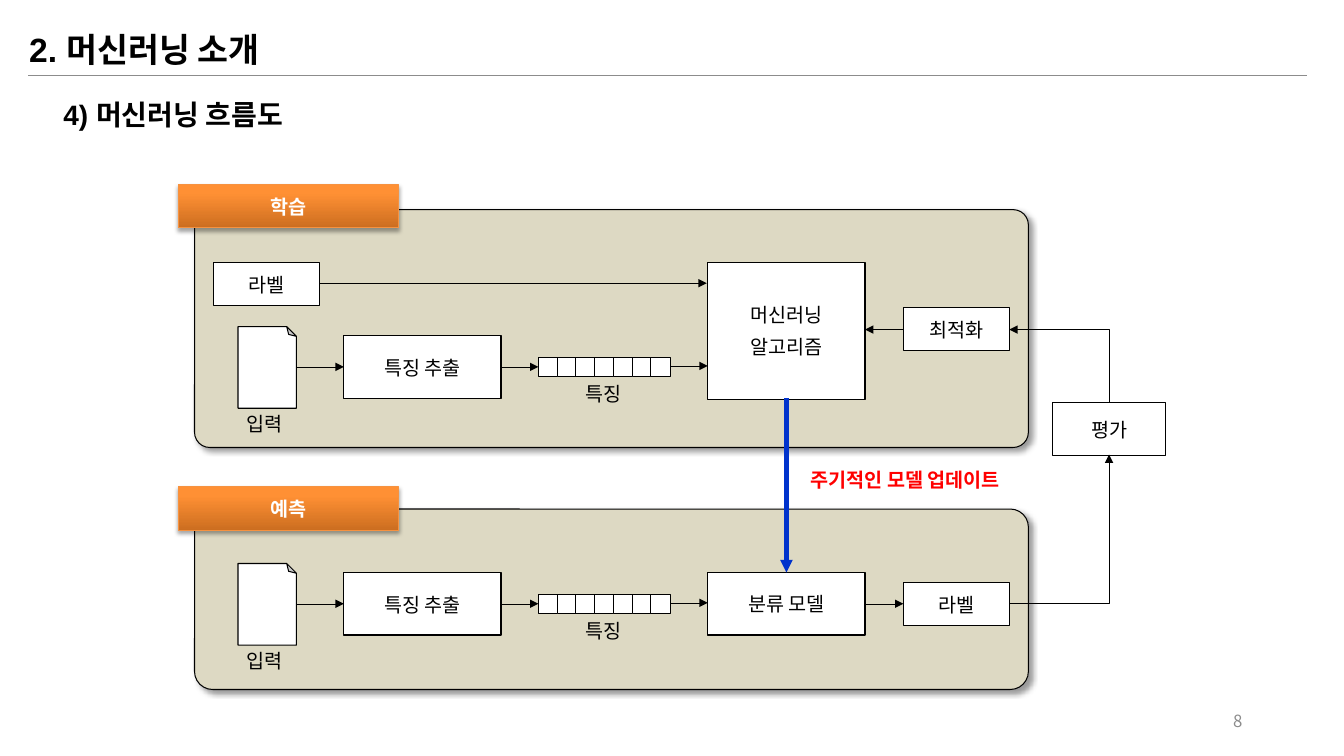
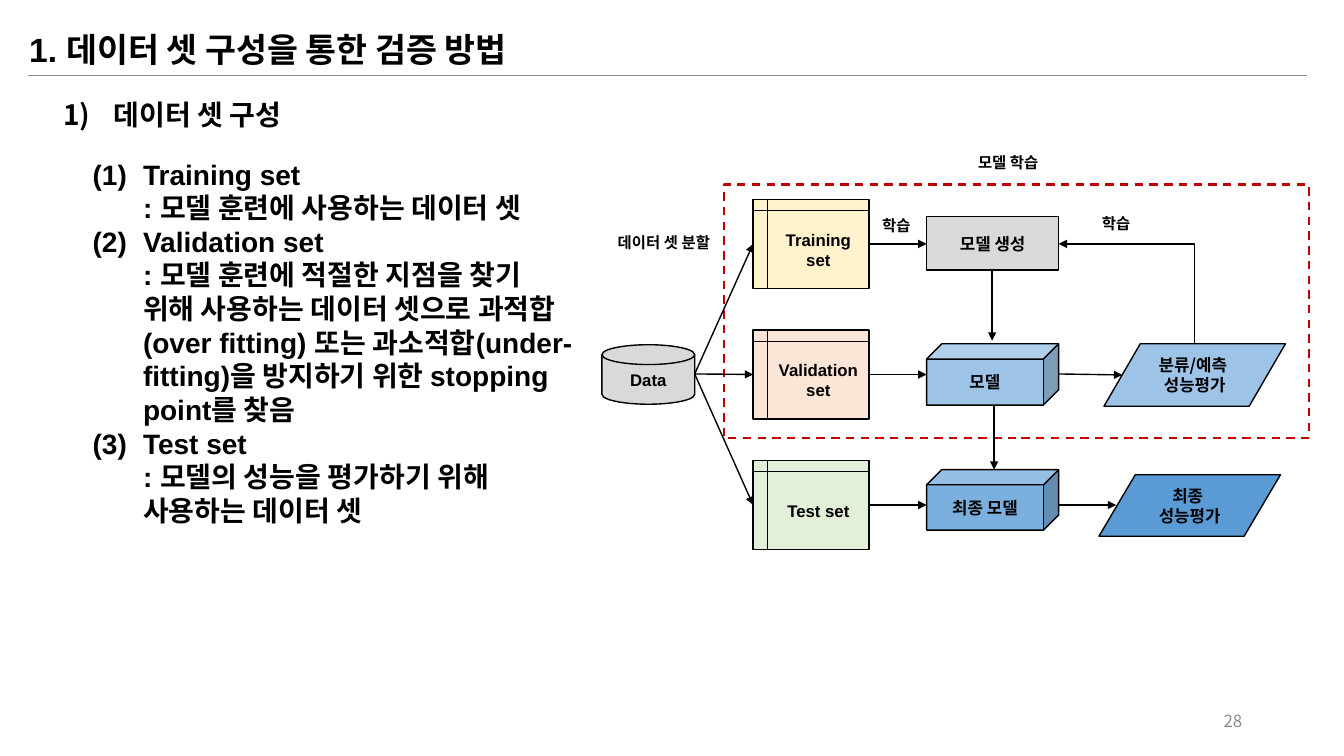
from copy import deepcopy
from dataclasses import dataclass, replace

from lxml.etree import SubElement
from pptx import Presentation
from pptx.dml.color import RGBColor
from pptx.enum.dml import MSO_LINE
from pptx.enum.shapes import MSO_CONNECTOR, MSO_SHAPE
from pptx.enum.text import MSO_ANCHOR, MSO_AUTO_SIZE, PP_ALIGN
from pptx.oxml.ns import qn
from pptx.util import Inches, Pt

LATIN, KOREAN = "Arial", "Noto Sans CJK KR"
BLACK, WHITE, GRAY, RULE = "000000", "FFFFFF", "8C8C8C", "8C8C8C"
SAND, ORANGE_EDGE, UPDATE_BLUE, ALERT = "DDD9C3", "F69240", "0033CC", "FF0000"
ORANGE_STOPS = [(0, "CC6E20"), (0.8, "FF9034"), (1, "FF9136")]
SILVER, SKY, AZURE, BLUE, CRIMSON = "D9D9D9", "9DC3E6", "7BAFDD", "5B9BD5", "C00000"
PANEL_SHADOW = (40, 4, 3, 45)
TAB_SHADOW = (35, 3.1, 1.8, 90)


@dataclass(frozen=True)
class TextStyle:
    """Describe how the text of one element looks."""
    size: float
    bold: bool = False
    colour: str = BLACK
    font: str = LATIN
    align: PP_ALIGN = PP_ALIGN.CENTER
    line: float = 1
    gap: float = 0


TITLE = TextStyle(24, True, align=PP_ALIGN.LEFT)
BODY = replace(TITLE, size=20)
PAGE = TextStyle(12, colour=GRAY, font=KOREAN, align=PP_ALIGN.RIGHT)
FLOW = TextStyle(14, line=1.05, gap=2.8)
FLOW_PLAIN = replace(FLOW, line=1)
INPUT = replace(FLOW, align=PP_ALIGN.LEFT)
TAB = replace(FLOW, bold=True, colour=WHITE)
UPDATE = replace(FLOW, bold=True, colour=ALERT)
NODE = TextStyle(12, True)
MODEL = replace(NODE, font=KOREAN)
NOTE = TextStyle(11, True)


def rgb(value):
    """Turn a hex string into a colour."""
    return RGBColor.from_string(value)


def inches(*lengths):
    """Convert several lengths to Inches."""
    return [Inches(length) for length in lengths]


def write(frame, text, style):
    """Fill a text frame and format each paragraph and run."""
    frame.text = text
    frame.word_wrap = True
    for paragraph in frame.paragraphs:
        paragraph.alignment = style.align
        paragraph.line_spacing = style.line
        paragraph.space_before = paragraph.space_after = Pt(style.gap)
        for run in paragraph.runs:
            run.font.size = Pt(style.size)
            run.font.bold = style.bold
            run.font.color.rgb = rgb(style.colour)
            run.font.name = style.font
            SubElement(run.font._element, qn("a:ea"), typeface=KOREAN)


def add_text(slide, box, text, style, grow=True):
    """Add a text box."""
    frame = slide.shapes.add_textbox(*inches(*box)).text_frame
    write(frame, text, style)
    if grow:
        frame.auto_size = MSO_AUTO_SIZE.SHAPE_TO_FIT_TEXT
    else:
        frame.vertical_anchor = MSO_ANCHOR.MIDDLE
    return frame


def number(paragraph, scheme, font):
    """Give a paragraph a hanging automatic number."""
    indent(paragraph, -0.5)
    properties = paragraph._p.get_or_add_pPr()
    SubElement(properties, qn("a:buFont"), typeface=font)
    SubElement(properties, qn("a:buAutoNum"), type=scheme)


def indent(paragraph, first):
    """Set the half-inch margin and the first-line indent."""
    properties = paragraph._p.get_or_add_pPr()
    properties.set("marL", str(Inches(0.5)))
    properties.set("indent", str(Inches(first)))


def add_node(slide, kind, box, fill=WHITE, text="", style=FLOW, edge=BLACK, width=0.75):
    """Add a preset shape, with centred text if there is any."""
    node = slide.shapes.add_shape(kind, *inches(*box))
    node.shadow.inherit = False
    if fill:
        node.fill.solid()
        node.fill.fore_color.rgb = rgb(fill)
    else:
        node.fill.background()
    if edge:
        node.line.color.rgb = rgb(edge)
        node.line.width = Pt(width)
    else:
        node.line.fill.background()
    if text:
        frame = node.text_frame
        write(frame, text, style)
        frame.vertical_anchor = MSO_ANCHOR.MIDDLE
        frame.margin_left = frame.margin_right = Inches(0.05)
        frame.margin_top = frame.margin_bottom = 0
    return node


def cast_shadow(node, opacity, blur, distance, angle):
    """Give a shape an outer black shadow."""
    effects = node._element.spPr.find(qn("a:effectLst"))
    shadow = SubElement(effects, qn("a:outerShdw"), blurRad=str(Pt(blur)),
                        dist=str(Pt(distance)), dir=str(angle * 60000),
                        algn="tl", rotWithShape="0")
    tone = SubElement(shadow, qn("a:srgbClr"), val=BLACK)
    SubElement(tone, qn("a:alpha"), val=str(opacity * 1000))


def shade_orange(node):
    """Fill a shape with the orange gradient, dark at the bottom."""
    node.fill.gradient()
    node.fill.gradient_angle = 90
    stops = node._element.spPr.find(".//" + qn("a:gsLst"))
    stops.append(deepcopy(stops[-1]))
    for stop, (position, colour) in zip(node.fill.gradient_stops, ORANGE_STOPS):
        stop.position = position
        stop.color.rgb = rgb(colour)


def add_line(slide, start, end, colour=BLACK, width=1.0, arrow=True,
             kind=MSO_CONNECTOR.STRAIGHT):
    """Add a connector, usually with an arrowhead at its end."""
    line = slide.shapes.add_connector(kind, *inches(*start, *end))
    line.line.color.rgb = rgb(colour)
    line.line.width = Pt(width)
    if arrow:
        SubElement(line.line._get_or_add_ln(), qn("a:tailEnd"), type="triangle")
    SubElement(line._element.spPr, qn("a:effectLst"))
    return line


def add_elbow(slide, start, end, width, upright=False):
    """Add an arrow with one corner; upright ones leave vertically."""
    if upright:
        centre_x, centre_y = (start[0] + end[0]) / 2, (start[1] + end[1]) / 2
        half_run, half_rise = (start[0] - end[0]) / 2, (start[1] - end[1]) / 2
        start = centre_x - half_rise, centre_y + half_run
        end = centre_x + half_rise, centre_y - half_run
    elbow = add_line(slide, start, end, width=width, kind=MSO_CONNECTOR.ELBOW)
    properties = elbow._element.spPr
    properties.find(qn("a:prstGeom")).set("prst", "bentConnector2")
    if upright:
        properties.find(qn("a:xfrm")).set("rot", str(270 * 60000))


def add_frame(deck, title, subtitle, page):
    """Add a slide with its title, rule, subtitle and page number."""
    slide = deck.slides.add_slide(deck.slide_layouts[6])
    add_line(slide, (0.28, 0.75), (12.96, 0.75), RULE, 0.5, arrow=False)
    add_text(slide, (0.19, 0.24, 9.15, 0.5), title, TITLE)
    heading = add_text(slide, (0.53, 0.92, 9.15, 0.44), subtitle, BODY)
    add_text(slide, (9.42, 6.95, 3, 0.4), page, PAGE, grow=False)
    return slide, heading


def add_panel(slide, top, height, tab_top, label):
    """Add a sand panel with its orange tab."""
    panel = add_node(slide, MSO_SHAPE.ROUNDED_RECTANGLE, (1.93, top, 8.27, height), SAND)
    panel.adjustments[0] = round(0.15 / height, 3) if height > 2 else 0.1
    cast_shadow(panel, *PANEL_SHADOW)
    tab = add_node(slide, MSO_SHAPE.RECTANGLE, (1.77, tab_top, 2.18, 0.43),
                   ORANGE_EDGE, label, TAB, edge=ORANGE_EDGE)
    shade_orange(tab)
    cast_shadow(tab, *TAB_SHADOW)


def add_feature_row(slide, middle):
    """Add the steps from input document to feature vector."""
    document = add_node(slide, MSO_SHAPE.FOLDED_CORNER, (2.36, middle - 0.4, 0.58, 0.81))
    document.rotation = 180
    document._element.spPr.find(qn("a:xfrm")).set("flipH", "1")
    add_text(slide, (2.35, middle + 0.39, 0.81, 0.35), "입력", INPUT)
    add_flow_box(slide, (3.41, middle - 0.31, 1.56, 0.62), "특징 추출")
    for left, right, y in ((2.94, 3.41, middle), (4.96, 5.34, middle),
                           (6.4, 7.02, middle - 0.01)):
        add_line(slide, (left, y), (right, y), width=0.25)
    for cell in range(7):
        add_node(slide, MSO_SHAPE.RECTANGLE, (5.34 + cell * 0.186, middle - 0.09, 0.19, 0.19))
    add_text(slide, (5.34, middle + 0.09, 1.3, 0.35), "특징", FLOW)


def add_flow_box(slide, box, text, style=FLOW):
    """Add a white step of the learning flow."""
    add_node(slide, MSO_SHAPE.RECTANGLE, box, WHITE, text, style)


def build_flow(deck):
    """Build the machine learning flow slide."""
    slide, _ = add_frame(deck, "2. 머신러닝 소개", "4) 머신러닝 흐름도", "8")
    add_panel(slide, 2.08, 2.36, 1.83, "학습")
    add_panel(slide, 5.05, 1.79, 4.83, "예측")
    for middle in (3.64, 5.99):
        add_feature_row(slide, middle)
    add_flow_box(slide, (7.02, 2.6, 1.56, 1.36), "머신러닝\n알고리즘", FLOW_PLAIN)
    add_flow_box(slide, (7.02, 5.68, 1.56, 0.62), "분류 모델", FLOW_PLAIN)
    for left, top, label in ((2.12, 2.6, "라벨"), (8.96, 3.05, "최적화"), (8.96, 5.78, "라벨")):
        add_flow_box(slide, (left, top, 1.05, 0.43), label)
    add_flow_box(slide, (10.44, 3.99, 1.12, 0.53), "평가")
    for start, end, y in ((3.17, 7.01, 2.81), (8.96, 8.58, 3.27), (8.58, 8.96, 5.99)):
        add_line(slide, (start, y), (end, y), width=0.25)
    add_line(slide, (7.8, 3.95), (7.8, 5.68), UPDATE_BLUE, 3)
    add_elbow(slide, (10.01, 5.99), (11, 4.51), 0.75)
    add_elbow(slide, (11, 3.99), (10.01, 3.27), 0.75, upright=True)
    add_text(slide, (7.45, 4.58, 3.06, 0.35), "주기적인 모델 업데이트", UPDATE)


def add_set_list(slide):
    """Add the numbered explanation of the three sets."""
    lines = (
        "Training set",
        ": 모델 훈련에 사용하는 데이터 셋",
        "Validation set",
        ": 모델 훈련에 적절한 지점을 찾기 위해 사용하는 데이터 셋으로 과적합"
        "(over fitting) 또는 과소적합(under-fitting)을 방지하기 위한 stopping point를 찾음",
        "Test set\v: 모델의 성능을 평가하기 위해 사용하는 데이터 셋",
    )
    frame = add_text(slide, (0.82, 1.51, 5.02, 3.8), "\n".join(lines), BODY)
    for paragraph in frame.paragraphs:
        if paragraph.text.startswith(":"):
            paragraph.level = 1
            indent(paragraph, 0)
        else:
            number(paragraph, "arabicParenBoth", LATIN)


def build_data_sets(deck):
    """Build the slide on splitting the data for validation."""
    slide, heading = add_frame(deck, "1. 데이터 셋 구성을 통한 검증 방법", "데이터 셋 구성", "28")
    number(heading.paragraphs[0], "arabicParenR", KOREAN)
    add_set_list(slide)
    training_area = add_node(slide, MSO_SHAPE.RECTANGLE, (7.18, 1.83, 5.8, 2.52),
                             None, edge=CRIMSON, width=1.5)
    training_area.line.dash_style = MSO_LINE.DASH
    nodes = (
        (MSO_SHAPE.FLOWCHART_MAGNETIC_DISK, (5.97, 3.42, 0.92, 0.59), SILVER, "Data", NODE),
        (MSO_SHAPE.FLOWCHART_PROCESS, (9.19, 2.15, 1.31, 0.53), SILVER, "모델 생성", NODE),
        (MSO_SHAPE.CUBE, (9.19, 3.41, 1.31, 0.61), SKY, "모델", MODEL),
        (MSO_SHAPE.CUBE, (9.19, 4.66, 1.31, 0.6), AZURE, "최종 모델", MODEL),
        (MSO_SHAPE.FLOWCHART_DATA, (10.95, 3.41, 1.8, 0.62), SKY, "분류/예측 \n성능평가", MODEL),
        (MSO_SHAPE.FLOWCHART_DATA, (10.9, 4.71, 1.8, 0.61), BLUE, "최종 \n성능평가", MODEL),
    )
    for kind, box, fill, text, style in nodes:
        add_node(slide, kind, box, fill, text, style, width=1)
    sets = (("Training set", "FFF2CC"), ("Validation set", "FBE5D6"), ("Test set", "E2F0D9"))
    for row, (name, fill) in enumerate(sets):
        middle = 2.42 + row * 1.295
        add_node(slide, MSO_SHAPE.FLOWCHART_INTERNAL_STORAGE,
                 (7.47, middle - 0.44, 1.15, 0.88), fill, name, NODE, width=1)
        add_line(slide, (6.89, 3.71), (7.47, middle))
        add_line(slide, (8.62, middle), (9.19, middle))
    for start, end in (((9.84, 2.69), (9.84, 3.38)), ((9.86, 4.03), (9.86, 4.66)),
                       ((10.5, 3.71), (11.13, 3.72)), ((10.49, 5.01), (11.07, 5.01))):
        add_line(slide, start, end)
    add_elbow(slide, (11.85, 3.41), (10.5, 2.42), 1, upright=True)
    notes = (((5.71, 2.15, 1.75, 0.5), "데이터 셋 분할"), ((8.41, 2.05, 0.96, 0.37), "학습"),
             ((9.36, 1.48, 1.28, 0.27), "모델 학습"), ((10.59, 2.03, 0.96, 0.37), "학습"))
    for box, text in notes:
        add_node(slide, MSO_SHAPE.FLOWCHART_PROCESS, box, None, text, NOTE, edge=None)


def main():
    """Build and save the deck."""
    deck = Presentation()
    deck.slide_width, deck.slide_height = inches(13.33, 7.5)
    build_flow(deck)
    build_data_sets(deck)
    deck.save("out.pptx")


main()
